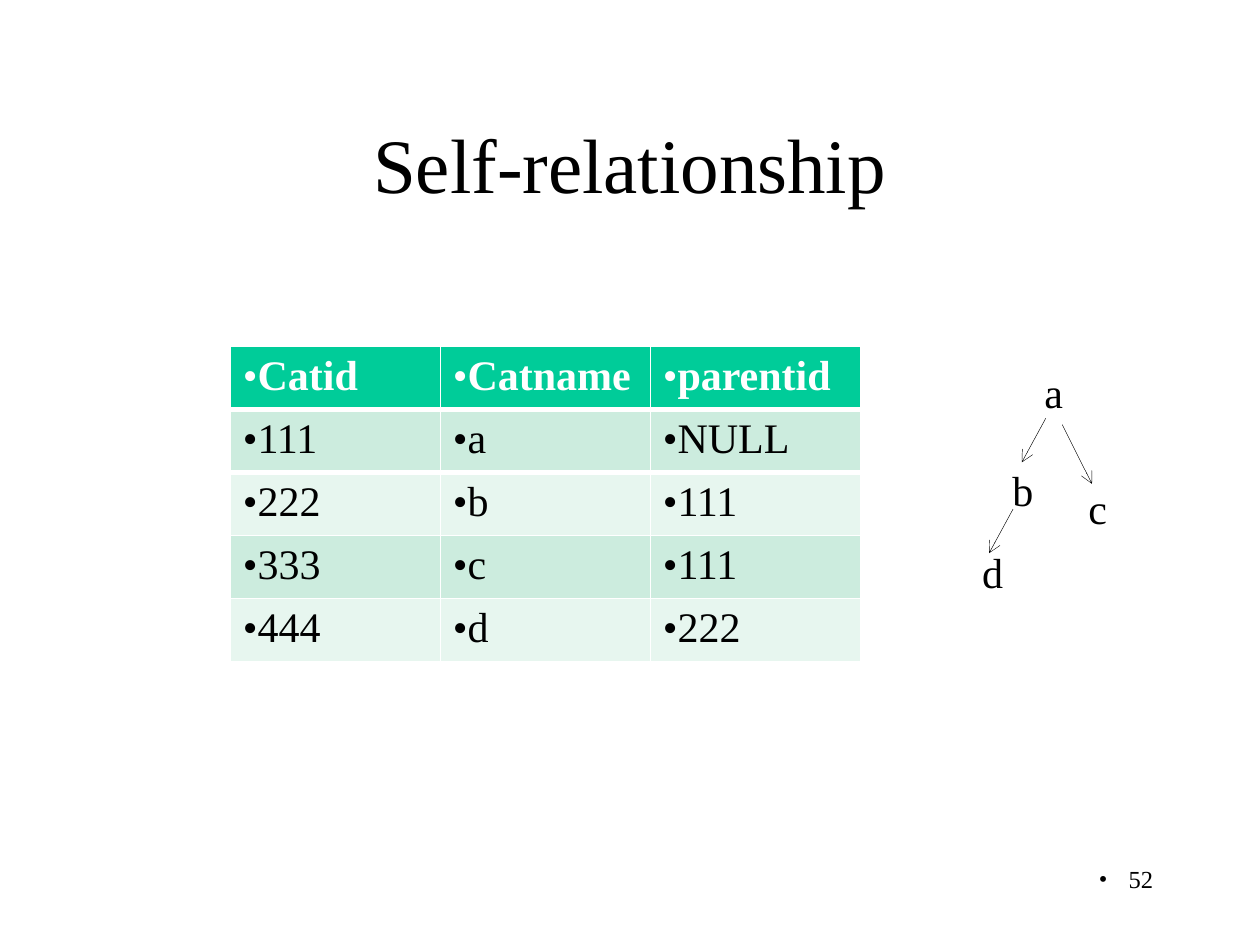
from dataclasses import dataclass

import pptx
import pptx.dml.color
import pptx.enum.shapes
import pptx.enum.text
import pptx.oxml.ns
import pptx.util
from lxml import etree

Pt = pptx.util.Pt
RGBColor = pptx.dml.color.RGBColor
Align = pptx.enum.text.PP_ALIGN
Anchor = pptx.enum.text.MSO_ANCHOR
qn = pptx.oxml.ns.qn

FONT = "Times New Roman"
BLACK = RGBColor(0x00, 0x00, 0x00)
WHITE = RGBColor(0xFF, 0xFF, 0xFF)
HEADER_GREEN = RGBColor(0x00, 0xCC, 0x99)
BAND_GREENS = (RGBColor(0xCC, 0xEC, 0xDE), RGBColor(0xE7, 0xF6, 0xEF))

CATEGORIES = (
    ("Catid", "Catname", "parentid"),
    ("111", "a", "NULL"),
    ("222", "b", "111"),
    ("333", "c", "111"),
    ("444", "d", "222"),
)
COLUMN_WIDTH = 120
ROW_HEIGHT = 33.75


@dataclass(frozen=True)
class Node:
    label: str
    left: float
    top: float
    width: float
    wraps: bool = False


@dataclass(frozen=True)
class Branch:
    start: tuple[float, float]
    end: tuple[float, float]


NODES = (
    Node("a", 589.7, 209.1, 34.6, wraps=True),
    Node("b", 571.5, 265, 26.6),
    Node("c", 614.9, 275.5, 25.2),
    Node("d", 554.2, 311.8, 26.6),
)
BRANCHES = (
    Branch((597.6, 239), (583.9, 264.2)),
    Branch((607, 242.6), (624, 276.5)),
    Branch((578.9, 290.9), (565.2, 316.1)),
)


def write_text(frame, text: str, *, size: float = 24, color: RGBColor = BLACK,
               bold: bool = False, align=Align.LEFT, spacing: float | None = None,
               bullet: bool = False, hanging: float = 0) -> None:
    paragraph = frame.paragraphs[0]
    paragraph.text = text
    paragraph.alignment = align
    paragraph.line_spacing = spacing
    paragraph.space_before = Pt(0)
    if bullet:
        properties = paragraph._p.get_or_add_pPr()
        properties.set("marL", str(Pt(hanging)))
        properties.set("indent", str(-Pt(hanging)))
        etree.SubElement(properties, qn("a:buFont")).set("typeface", FONT)
        etree.SubElement(properties, qn("a:buChar")).set("char", "•")
    font = paragraph.runs[0].font
    font.name = FONT
    font.size = Pt(size)
    font.bold = bold
    font.color.rgb = color


def add_title(slide) -> None:
    title = slide.shapes.title
    title.left, title.top, title.width, title.height = Pt(54), Pt(48), Pt(612), Pt(90)
    title.text_frame.vertical_anchor = Anchor.MIDDLE
    write_text(title.text_frame, "Self-relationship", size=44, align=Align.CENTER)


def add_page_number(slide) -> None:
    page_number = slide.shapes.add_textbox(Pt(516), Pt(490.3), Pt(150), Pt(36))
    page_number.text_frame.word_wrap = True
    write_text(page_number.text_frame, "52", size=14, align=Align.RIGHT,
               bullet=True, hanging=17)


def set_border(cell, side: str, width: float) -> None:
    border = etree.Element(qn(f"a:{side}"), w=str(Pt(width)))
    fill = etree.SubElement(border, qn("a:solidFill"))
    etree.SubElement(fill, qn("a:srgbClr")).set("val", str(WHITE))
    cell._tc.get_or_add_tcPr().insert(0, border)


def add_category_table(slide) -> None:
    row_count, column_count = len(CATEGORIES), len(CATEGORIES[0])
    categories = slide.shapes.add_table(
        row_count, column_count, Pt(131.6), Pt(198),
        Pt(column_count * COLUMN_WIDTH), Pt(row_count * ROW_HEIGHT)).table
    for column in categories.columns:
        column.width = Pt(COLUMN_WIDTH)
    for row_index, values in enumerate(CATEGORIES):
        categories.rows[row_index].height = Pt(ROW_HEIGHT)
        is_header = row_index == 0
        for column_index, value in enumerate(values):
            cell = categories.cell(row_index, column_index)
            cell.fill.solid()
            cell.fill.fore_color.rgb = (
                HEADER_GREEN if is_header else BAND_GREENS[(row_index - 1) % 2])
            if row_index < 2:
                set_border(cell, "lnB" if is_header else "lnT", 3)
            write_text(cell.text_frame, value, bold=is_header, bullet=True,
                       color=WHITE if is_header else BLACK)


def add_node(slide, node: Node) -> None:
    label = slide.shapes.add_textbox(
        Pt(node.left), Pt(node.top), Pt(node.width), Pt(33.1))
    label.text_frame.word_wrap = node.wraps
    label.text_frame.auto_size = pptx.enum.text.MSO_AUTO_SIZE.SHAPE_TO_FIT_TEXT
    write_text(label.text_frame, node.label, spacing=0.9)


def add_branch(slide, branch: Branch) -> None:
    arrow = slide.shapes.add_connector(
        pptx.enum.shapes.MSO_CONNECTOR.STRAIGHT,
        *map(Pt, branch.start), *map(Pt, branch.end))
    arrow.line.color.rgb = BLACK
    arrow.line.width = Pt(0.25)
    etree.SubElement(arrow.line._get_or_add_ln(), qn("a:tailEnd")).set("type", "arrow")
    etree.SubElement(arrow._element.spPr, qn("a:effectLst"))


def main() -> None:
    presentation = pptx.Presentation()
    presentation.slide_width, presentation.slide_height = Pt(720), Pt(540)
    slide = presentation.slides.add_slide(presentation.slide_layouts[5])
    add_title(slide)
    add_page_number(slide)
    add_category_table(slide)
    for node in NODES:
        add_node(slide, node)
    for branch in BRANCHES:
        add_branch(slide, branch)
    presentation.save("out.pptx")


if __name__ == "__main__":
    main()
